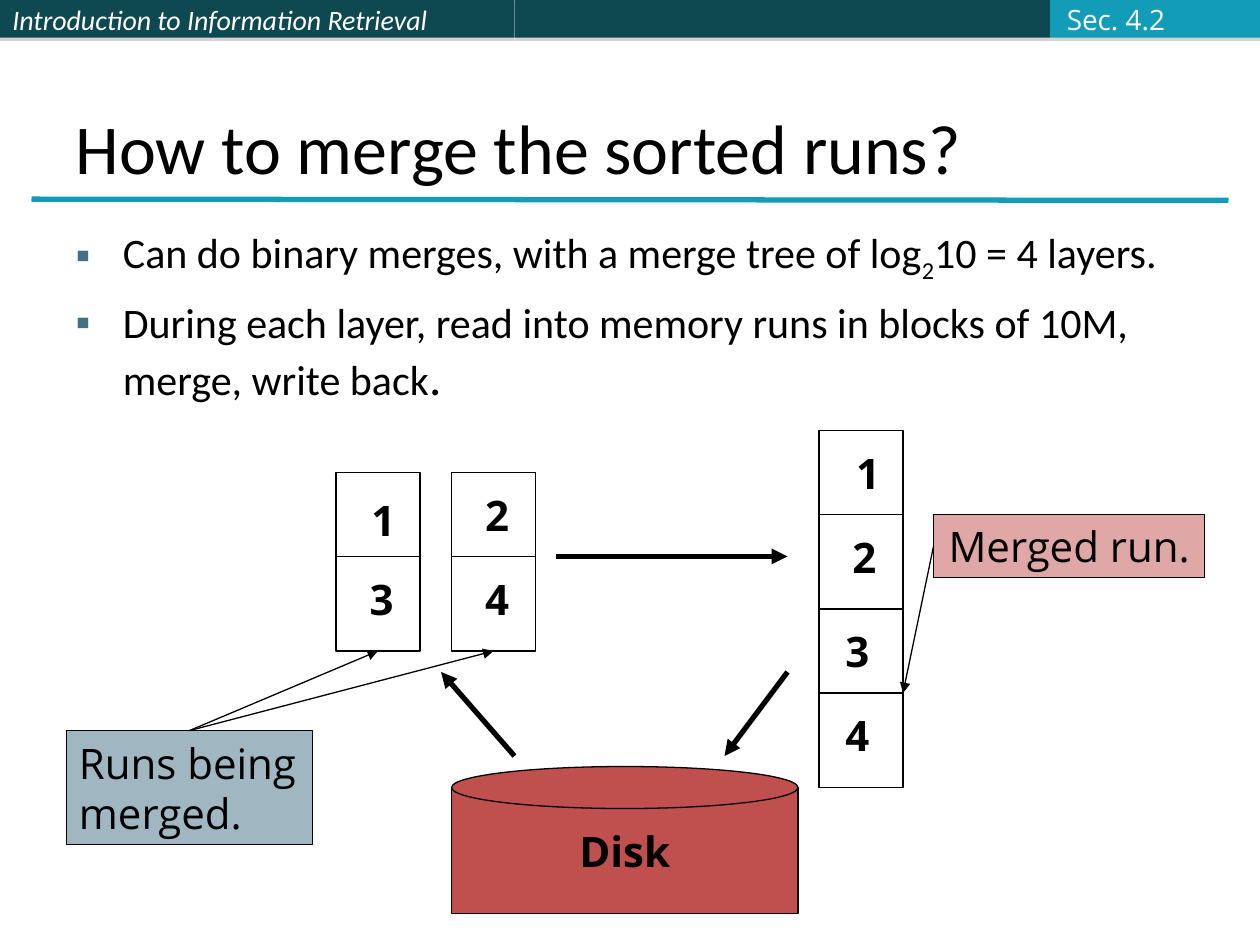
"""Builds the slide on merging sorted runs."""
from pptx import Presentation
from pptx.dml.color import RGBColor
from pptx.enum.shapes import MSO_CONNECTOR as Link, MSO_SHAPE as Kind
from pptx.enum.text import MSO_ANCHOR as Anchor, MSO_AUTO_SIZE as Fit, PP_ALIGN as Align
from pptx.oxml.ns import qn
from pptx.util import Pt
from lxml.etree import SubElement as sub

rgb = RGBColor.from_string


def write(para, text, size=24, face="Open Sans", color="000000", bold=False, slant=False, base=0):
    run = para.add_run()
    run.text = text
    font = run.font
    font.size, font.name, font.bold, font.italic = Pt(size), face, bold, slant
    font.color.rgb = rgb(color)
    if base:
        font._element.set("baseline", str(base * 1000))


def join(start, end, width=0.75, color="000000", arrow=False):
    line = slide.shapes.add_connector(Link.STRAIGHT, *map(Pt, start + end))
    line.line.width = Pt(width)
    line.line.color.rgb = rgb(color)
    if arrow:
        sub(line.line._get_or_add_ln(), qn("a:tailEnd"), type="triangle")
    sub(line._element.spPr, qn("a:effectLst"))
    return line


deck = Presentation()
deck.slide_width, deck.slide_height = Pt(720), Pt(540)
slide = deck.slides.add_slide(deck.slide_layouts[1])

title, body = slide.placeholders
for holder, top, high in ((title, 21.6, 90), (body, 126, 390)):
    holder.left, holder.top, holder.width, holder.height = map(Pt, (36, top, 648, high))
    holder.text_frame.auto_size = Fit.NONE
    holder.text_frame.word_wrap = True

title.text_frame.vertical_anchor = Anchor.BOTTOM
head = title.text_frame.paragraphs[0]
head.alignment = Align.LEFT
write(head, "How to merge the sorted runs?", 40, "Calibri")

points = (
    (("Can do binary merges, with a merge tree of log", 24, 0), ("2", 24, -25),
     ("10 = 4 layers.", 24, 0)),
    (("During each layer, read into memory runs in blocks of 10M, merge, write back", 24, 0),
     (".", 28, 0)),
)
for i, parts in enumerate(points):
    para = body.text_frame.add_paragraph() if i else body.text_frame.paragraphs[0]
    props = para._p.get_or_add_pPr()
    props.set("marL", str(Pt(27)))
    props.set("indent", str(Pt(-27)))
    sub(sub(props, qn("a:buClr")), qn("a:srgbClr"), val="437085")
    sub(props, qn("a:buChar"), char="▪")
    para.space_before = Pt(7 * i)
    for text, size, base in parts:
        write(para, text, size, "Calibri", base=base)

bands = ((0, 294, "0E4851", "Introduction to Information Retrieval"),
         (294, 306, "0E4851", ""), (600, 120, "139CB7", ""))
for left, wide, color, text in bands:
    band = slide.shapes.add_shape(Kind.RECTANGLE, Pt(left), 0, Pt(wide), Pt(21.6))
    band.fill.solid()
    band.fill.fore_color.rgb = rgb(color)
    band.line.fill.background()
    band.shadow.inherit = False
    glow = sub(band._element.spPr.find(qn("a:effectLst")), qn("a:outerShdw"),
               blurRad="0", dist=str(Pt(1.8)), dir="5400000", rotWithShape="0")
    tint = sub(glow, qn("a:srgbClr"), val="808080")
    sub(tint, qn("a:alpha"), val="35000")
    if text:
        para = band.text_frame.paragraphs[0]
        para.alignment = Align.LEFT
        write(para, text, 16, "Calibri", "FFFFFF", slant=True)
join((18, 113.8), (702, 114.5), 3, "139CB7")

stacks = ((192, 270), (258, 270), (468, 246), (468, 348))
boxes = [(Kind.RECTANGLE, x, y, 48, 102, "FFFFFF", 100, "") for x, y in stacks] + [
    (Kind.RECTANGLE, 258, 450, 198, 72, "C0504D", 100, "Disk"),
    (Kind.OVAL, 258, 438, 198, 24, "C0504D", 100, ""),
    (Kind.RECTANGLE, 38, 417.5, 140.5, 65, "437085", 50, "Runs being\nmerged."),
    (Kind.RECTANGLE, 533.5, 294, 155, 36, "C0504D", 50, "Merged run."),
]
shapes = []
for kind, x, y, w, h, color, alpha, text in boxes:
    box = slide.shapes.add_shape(kind, *map(Pt, (x, y, w, h)))
    box.shadow.inherit = False
    box.fill.solid()
    box.fill.fore_color.rgb = rgb(color)
    if alpha < 100:
        tint = box._element.spPr.find(".//" + qn("a:srgbClr"))
        sub(tint, qn("a:alpha"), val=str(alpha * 1000))
    box.line.color.rgb = rgb("000000")
    box.line.width = Pt(0.75)
    lines = text.split("\n")
    frame = box.text_frame
    frame.word_wrap = False
    for i, text in enumerate(filter(None, lines)):
        para = frame.add_paragraph() if i else frame.paragraphs[0]
        para.alignment = Align.LEFT if len(lines) > 1 else Align.CENTER
        para.line_spacing = Pt(28.8)
        write(para, text, bold=text == "Disk")
    shapes.append(box)

for x, y in stacks:
    join((x, y + 48), (x + 48, y + 48))
for start, end in (((294, 432), (252, 384)), ((318, 318), (450, 318)), ((450, 384), (414, 432))):
    join(start, end, 3, arrow=True)

left, right, *_, runs, merged = shapes
for stack in (left, right):
    line = join((0, 0), (1, 1), arrow=True)
    line.begin_connect(runs, 0)
    line.end_connect(stack, 2)
join((533.5, 312), (516, 396), arrow=True).begin_connect(merged, 1)

labels = [(text, x, y, 28, 36, 24, "000000", True) for text, x, y in (
    ("1", 205, 279), ("3", 204, 324), ("4", 270, 324), ("2", 270, 276),
    ("2", 480, 300), ("1", 482, 252), ("4", 476, 402), ("3", 476, 354))]
labels.append(("Sec. 4.2", 602.5, -2.5, 70.5, 26.5, 16, "FBFCFF", False))
for text, x, y, w, h, size, color, bold in labels:
    frame = slide.shapes.add_textbox(*map(Pt, (x, y, w, h))).text_frame
    frame.word_wrap = False
    frame.vertical_anchor = Anchor.MIDDLE
    para = frame.paragraphs[0]
    para.alignment = Align.CENTER if bold else Align.LEFT
    write(para, text, size, color=color, bold=bold)

deck.save("out.pptx")
